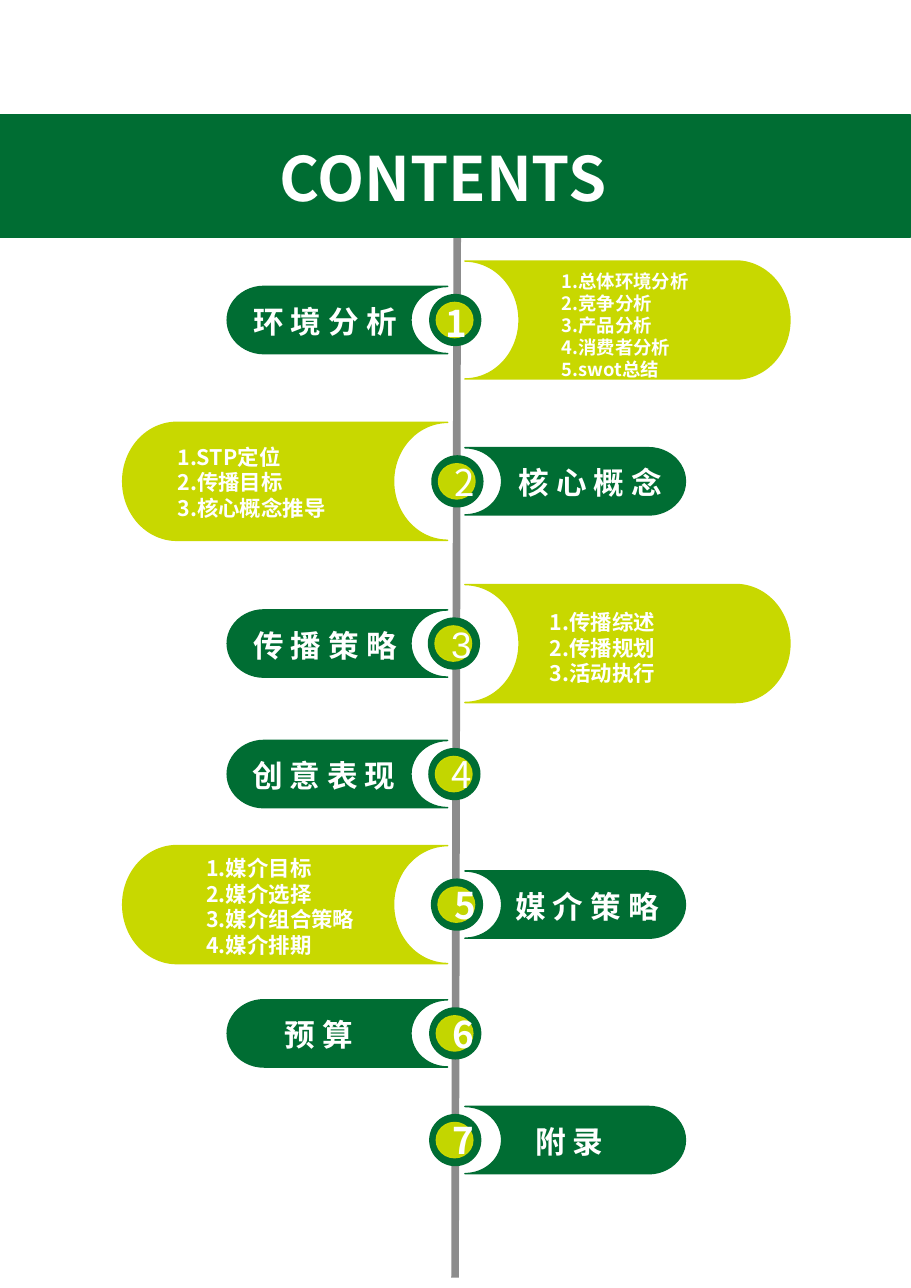
from lxml.etree import SubElement
from pptx import Presentation
from pptx.dml.color import RGBColor
from pptx.enum.shapes import MSO_CONNECTOR, MSO_SHAPE
from pptx.enum.text import PP_ALIGN
from pptx.oxml.ns import qn
from pptx.util import Cm, Pt

GREEN = RGBColor(0x00, 0x6D, 0x33)
LIME = RGBColor(0xC8, 0xD8, 0x00)
DOT = RGBColor(0xC3, 0xD6, 0x00)
GREY = RGBColor(0x8C, 0x8C, 0x8C)
WHITE = RGBColor(0xFF, 0xFF, 0xFF)
SANS = "Noto Sans CJK SC"
DIGIT = "Noto Sans CJK JP"

LEFT_END, RIGHT_END = 10.32, 10.72  # inner ends of the tabs beside the stem
TAB = (5.08, 1.55)
PANEL = (7.49, 2.72)
RING = 1.17

# middle y, ring left, tab on the left?, title, title left, digit font, digit bold
ROWS = [
    (7.38, 9.91, True, "环 境 分 析", 5.59, None, True),
    (11.1, 9.96, False, "核 心 概 念", 11.71, DIGIT, False),
    (14.84, 9.88, True, "传 播 策 略", 5.59, "Arial", False),
    (17.85, 9.89, True, "创 意 表 现", 5.56, DIGIT, False),
    (20.86, 9.95, False, "媒 介 策 略", 11.63, DIGIT, True),
    (23.83, 9.91, True, "预 算", 6.32, DIGIT, True),
    (26.29, 9.91, False, "附 录", 12.09, DIGIT, True),
]
# row: text left, text top from the middle, size, lines
LISTS = {
    1: (12.7, -1.28, 12, ["1.总体环境分析", "2.竞争分析", "3.产品分析",
                          "4.消费者分析", "5.swot总结"]),
    2: (3.84, -0.99, 14, ["1.STP定位", "2.传播目标", "3.核心概念推导"]),
    3: (12.42, -0.92, 14, ["1.传播综述", "2.传播规划", "3.活动执行"]),
    5: (4.5, -1.27, 14, ["1.媒介目标", "2.媒介选择", "3.媒介组合策略",
                         "4.媒介排期"]),
}


class Page:
    def __init__(self, deck):
        self.slide = deck.slides.add_slide(deck.slide_layouts[6])
        self.shapes = self.slide.shapes

    def shape(self, kind, x, y, w, h, fill, line=None, flip=False):
        item = self.shapes.add_shape(kind, Cm(x), Cm(y), Cm(w), Cm(h))
        item.shadow.inherit = False
        item.fill.solid()
        item.fill.fore_color.rgb = fill
        item.line.color.rgb = line or fill
        item.line.width = Pt(1)
        if flip:
            item._element.spPr.find(qn("a:xfrm")).set("flipH", "1")
        return item

    def add_run(self, para, words, size, font=SANS, bold=True):
        run = para.add_run()
        run.text = words
        run.font.size = Pt(size)
        run.font.bold = bold
        run.font.color.rgb = WHITE
        run.font.name = font
        SubElement(run._r.get_or_add_rPr(), qn("a:ea")).set("typeface", font)

    def text(self, x, y, w, h, lines, size, font=SANS):
        frame = self.shapes.add_textbox(Cm(x), Cm(y), Cm(w), Cm(h)).text_frame
        frame.word_wrap = True
        for num, words in enumerate(lines):
            para = frame.add_paragraph() if num else frame.paragraphs[0]
            para.line_spacing = Pt(1.2 * size)
            self.add_run(para, words, size, font)

    def stem(self, x1, y1, x2, y2):
        line = self.shapes.add_connector(
            MSO_CONNECTOR.STRAIGHT, Cm(x1), Cm(y1), Cm(x2), Cm(y2))
        line.line.color.rgb = GREY
        line.line.width = Pt(5)
        SubElement(line._element.spPr, qn("a:effectLst"))

    def badge(self, x, mid, digit, font, bold):
        """Draw a ring with its dot and, when a font is given, a digit."""
        top = mid - RING / 2
        self.shape(MSO_SHAPE.OVAL, x, top, RING, RING, GREEN)
        dot = self.shape(MSO_SHAPE.OVAL, x + 0.15, top + 0.18, 0.84, 0.81,
                         DOT, LIME)
        if font:
            para = dot.text_frame.paragraphs[0]
            para.alignment = PP_ALIGN.CENTER
            self.add_run(para, digit, 24, font, bold)

    def tab(self, size, mid, left, fill):
        """Draw a round-ended tab on one side of the stem."""
        w, h = size
        x = LEFT_END - w if left else RIGHT_END
        self.shape(MSO_SHAPE.FLOWCHART_STORED_DATA, x, mid - h / 2, w, h,
                   fill, flip=not left)


def main():
    deck = Presentation()
    deck.slide_width, deck.slide_height = Cm(21), Cm(29.7)
    page = Page(deck)
    page.shape(MSO_SHAPE.RECTANGLE, 0, 2.64, 20.98, 2.84, GREEN)
    page.text(6.2, 3.12, 14.78, 2.06, ["CONTENTS"], 40)
    page.stem(10.54, 5.49, 10.49, 29.46)

    for num, (mid, x, _, _, _, font, bold) in enumerate(ROWS, 1):
        page.badge(x, mid, str(num), font, bold)
    page.text(10.03, 6.81, 1.2, 1.27, ["1"], 24, DIGIT)

    for num, (mid, _, left, title, x, _, _) in enumerate(ROWS, 1):
        page.tab(TAB, mid, left, GREEN)
        page.text(x, mid - 0.52, 5.1, 1.17, [title], 20)
        if num in LISTS:
            x, rise, size, lines = LISTS[num]
            page.tab(PANEL, mid, not left, LIME)
            page.text(x, mid + rise, 5.2, 2.7, lines, size)
    deck.save("out.pptx")


if __name__ == "__main__":
    main()
